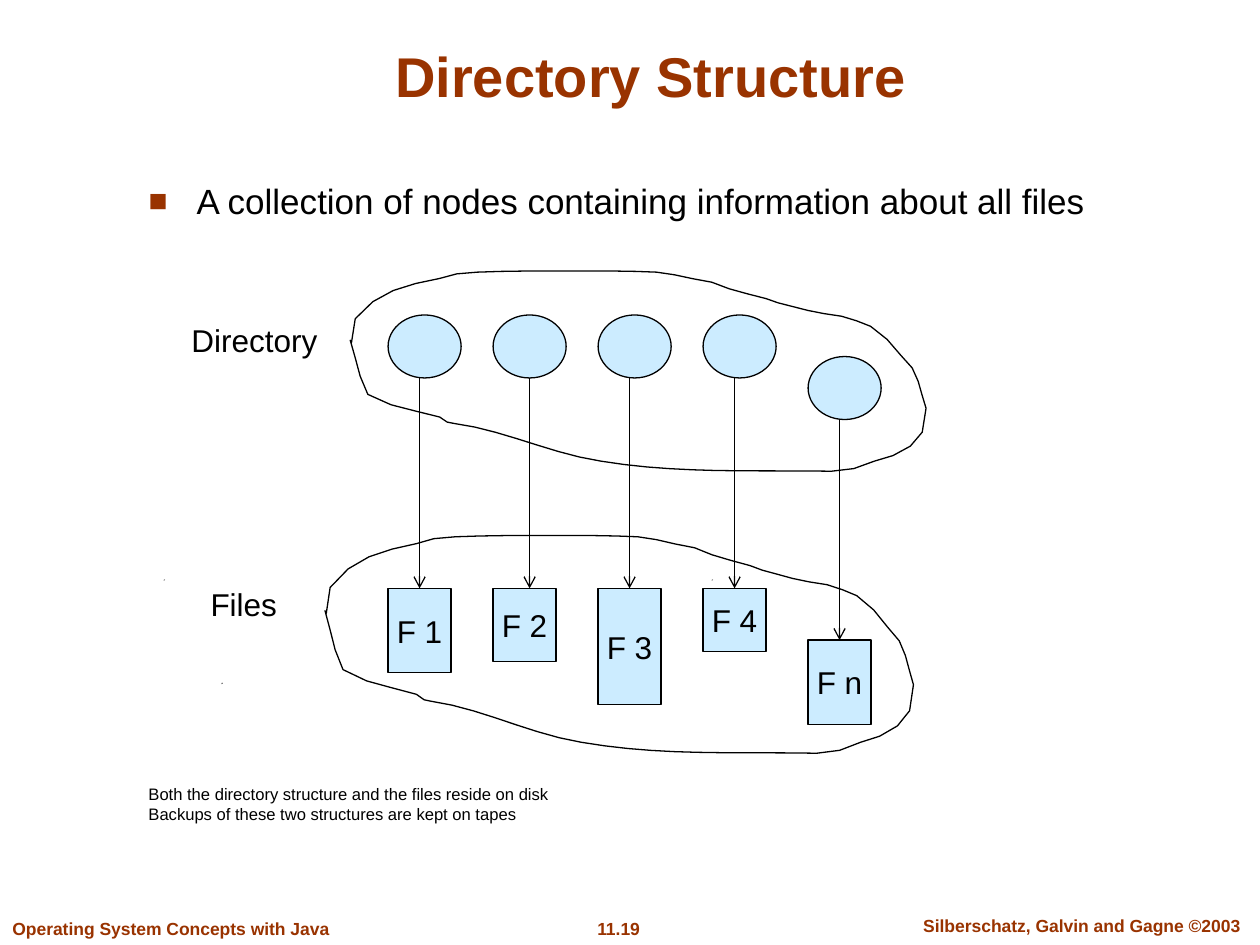
from dataclasses import dataclass
from math import ceil, dist

from lxml.etree import SubElement
from pptx import Presentation
from pptx.dml.color import RGBColor
from pptx.enum.shapes import MSO_CONNECTOR, MSO_SHAPE
from pptx.enum.text import MSO_ANCHOR, MSO_AUTO_SIZE, PP_ALIGN
from pptx.oxml.ns import qn
from pptx.util import Inches, Pt


@dataclass(frozen=True)
class Theme:
    """Colours, type sizes and line width of the slide."""
    font: str = "Arial"
    accent: str = "993300"
    ink: str = "000000"
    node: str = "CCECFF"
    title: float = 32
    body: float = 20
    label: float = 18
    footer: float = 10
    note: float = 9.5
    line: float = 0.75


THEME = Theme()
FIRST_LEFT, PITCH = 3.08, 5 / 6
NODE_WIDTH, NODE_HEIGHT, FILE_WIDTH = 0.58, 0.5, 0.5
DIRECTORY_BOX = (2.78, 2.15, 4.57, 1.61)
FILES_BOX = (2.58, 4.25, 4.67, 1.75)
SPECKS = [(1.76, 5.42), (1.3, 4.6), (5.65, 4.6)]
FILES = [
    ("F 1", 2.5, 4.67, 0.67, 0),
    ("F 2", 2.5, 4.67, 0.58, 0.04),
    ("F 3", 2.5, 4.67, 0.92, 0),
    ("F 4", 2.5, 4.67, 0.5, 0),
    ("F n", 2.83, 5.08, 0.67, 0),
]
CLOUD_START = (2.79, 2.72)
CLOUD_CURVES = [
    (2.8, 2.65, 2.79, 2.58, 2.82, 2.53), (2.99, 2.31, 3.23, 2.26, 3.49, 2.21),
    (3.67, 2.17, 3.57, 2.17, 3.79, 2.16), (4.04, 2.15, 4.29, 2.15, 4.55, 2.15),
    (4.77, 2.15, 4.99, 2.15, 5.21, 2.16), (5.35, 2.17, 5.5, 2.22, 5.65, 2.24),
    (5.78, 2.3, 5.93, 2.33, 6.08, 2.37), (6.15, 2.4, 6.2, 2.41, 6.28, 2.43),
    (6.42, 2.47, 6.53, 2.49, 6.68, 2.51), (6.76, 2.54, 6.84, 2.55, 6.91, 2.59),
    (7.01, 2.64, 7.08, 2.74, 7.15, 2.82), (7.18, 2.86, 7.22, 2.88, 7.24, 2.92),
    (7.28, 2.99, 7.3, 3.06, 7.32, 3.14), (7.33, 3.17, 7.35, 3.24, 7.35, 3.24),
    (7.35, 3.28, 7.35, 3.37, 7.32, 3.43), (7.26, 3.56, 7.08, 3.63, 6.94, 3.66),
    (6.84, 3.73, 6.72, 3.72, 6.6, 3.74), (5.96, 3.73, 5.38, 3.76, 4.77, 3.66),
    (4.37, 3.6, 3.99, 3.41, 3.6, 3.36), (3.58, 3.36, 3.57, 3.35, 3.55, 3.35),
    (3.53, 3.34, 3.51, 3.32, 3.49, 3.31), (3.29, 3.25, 3.1, 3.24, 2.92, 3.13),
    (2.86, 3.03, 2.85, 2.94, 2.82, 2.84), (2.82, 2.84, 2.78, 2.72, 2.78, 2.7),
    (2.78, 2.69, 2.79, 2.71, 2.79, 2.72),
]


def write(frame, text, size=THEME.label, color=THEME.ink, bold=False,
          align=PP_ALIGN.LEFT, anchor=MSO_ANCHOR.TOP, before=0, wrap=True,
          fit=MSO_AUTO_SIZE.NONE):
    """Fill a text frame, one paragraph per line of text."""
    frame.text = text
    frame.word_wrap, frame.auto_size = wrap, fit
    frame.vertical_anchor = anchor
    for paragraph in frame.paragraphs:
        paragraph.alignment = align
        paragraph.space_before = Pt(before)
        font = paragraph.runs[0].font
        font.name, font.size, font.bold = THEME.font, Pt(size), bold
        font.color.rgb = RGBColor.from_string(color)


def place(shape, left, top, width, height):
    """Set the position and size of a shape in inches."""
    shape.left, shape.top = Inches(left), Inches(top)
    shape.width, shape.height = Inches(width), Inches(height)


def add_text(slide, text, box, **text_format):
    """Add a text box."""
    write(slide.shapes.add_textbox(*map(Inches, box)).text_frame, text, **text_format)


def paint(shape, fill=None, line=THEME.ink):
    """Give a shape a flat fill and a thin line, either of them optional."""
    shape.shadow.inherit = False
    for part, color in ((shape.fill, fill), (shape.line.fill, line)):
        if color:
            part.solid()
            part.fore_color.rgb = RGBColor.from_string(color)
        else:
            part.background()
    shape.line.width = Pt(THEME.line)


def add_node(slide, preset, box):
    """Add a directory node or a file block."""
    node = slide.shapes.add_shape(preset, *map(Inches, box))
    paint(node, fill=THEME.node)
    return node


def add_arrow(slide, x, top, bottom, target=None):
    """Add a downward arrow, joined to the top of its target if given."""
    arrow = slide.shapes.add_connector(
        MSO_CONNECTOR.STRAIGHT, Inches(x), Inches(top), Inches(x), Inches(bottom))
    if target is not None:
        arrow.end_connect(target, 0)
    arrow.line.color.rgb = RGBColor.from_string(THEME.ink)
    arrow.line.width = Pt(THEME.line)
    properties = arrow._element.spPr
    SubElement(properties.find(qn("a:ln")), qn("a:tailEnd"), type="arrow")
    SubElement(properties, qn("a:effectLst"))


def add_outline(slide, points, **colors):
    """Add a closed freeform through points given in inches."""
    corners = [(Inches(x), Inches(y)) for x, y in points]
    builder = slide.shapes.build_freeform(*corners[0])
    builder.add_line_segments(corners[1:], close=True)
    paint(builder.convert_to_shape(), **colors)


def bezier(start, curve, t):
    """Return the point at t on a cubic curve."""
    controls = (start, curve[0:2], curve[2:4], curve[4:6])
    weights = ((1 - t) ** 3, 3 * t * (1 - t) ** 2, 3 * t * t * (1 - t), t ** 3)
    return tuple(sum(w * c[axis] for w, c in zip(weights, controls)) for axis in (0, 1))


def add_cloud(slide, box, stride=0.2):
    """Add the cloud outline scaled into a box."""
    left, top, width, height = box
    base_left, base_top, base_width, base_height = DIRECTORY_BOX
    points, start = [CLOUD_START], CLOUD_START
    for curve in CLOUD_CURVES:
        steps = max(1, ceil(dist(start, curve[4:6]) / stride))
        points += [bezier(start, curve, step / steps) for step in range(1, steps + 1)]
        start = curve[4:6]
    add_outline(slide, [(left + (x - base_left) * width / base_width,
                         top + (y - base_top) * height / base_height) for x, y in points])


def fill_headings(slide):
    """Fill the title and the bulleted statement."""
    title, statement = slide.shapes.title, slide.placeholders[1]
    place(title, 0.75, 0.24, 8.83, 0.67)
    write(title.text_frame, "Directory Structure", size=THEME.title, color=THEME.accent,
          bold=True, align=PP_ALIGN.CENTER, anchor=MSO_ANCHOR.BOTTOM)
    place(statement, 1.08, 1.41, 7.69, 0.42)
    write(statement.text_frame,
          "A collection of nodes containing information about all files",
          size=THEME.body, before=8.8)
    paragraph = statement.text_frame.paragraphs[0]
    paragraph.line_spacing = 0.9
    properties = paragraph._p.get_or_add_pPr()
    properties.set("marL", str(Inches(0.38)))
    properties.set("indent", str(Inches(-0.38)))
    SubElement(SubElement(properties, qn("a:buClr")), qn("a:srgbClr"), val=THEME.accent)
    SubElement(properties, qn("a:buSzPct"), val="90000")
    SubElement(properties, qn("a:buFont"), typeface=THEME.font)
    SubElement(properties, qn("a:buChar"), char="■")


def add_diagram(slide):
    """Draw the directory nodes, their files, the arrows and the clouds."""
    for index, (name, node_top, file_top, file_height, shift) in enumerate(FILES):
        left = FIRST_LEFT + index * PITCH
        add_node(slide, MSO_SHAPE.OVAL, (left, node_top, NODE_WIDTH, NODE_HEIGHT))
        block = add_node(slide, MSO_SHAPE.RECTANGLE,
                         (left, file_top, FILE_WIDTH, file_height))
        write(block.text_frame, name, align=PP_ALIGN.CENTER,
              anchor=MSO_ANCHOR.MIDDLE, wrap=False)
        add_arrow(slide, left + FILE_WIDTH / 2 + shift, node_top + NODE_HEIGHT,
                  file_top, None if shift else block)
    for cloud_box, label, label_box in (
            (DIRECTORY_BOX, "Directory", (1.42, 2.5, 1.2, 0.4)),
            (FILES_BOX, "Files", (1.57, 4.59, 0.73, 0.4))):
        add_cloud(slide, cloud_box)
        add_text(slide, label, label_box, align=PP_ALIGN.CENTER, before=11.2,
                 anchor=MSO_ANCHOR.MIDDLE, wrap=False, fit=MSO_AUTO_SIZE.SHAPE_TO_FIT_TEXT)


def add_backdrop(slide):
    """Add the ink specks and the three footer texts."""
    for x, y in SPECKS:
        add_outline(slide, [(x, y + 0.01), (x + 0.01, y), (x, y)], fill=THEME.ink, line=None)
    for text, box, align, wrap in (
            ("Operating System Concepts with Java", (0, 7.24, 2.8, 0.27), PP_ALIGN.LEFT, True),
            ("11.19", (4.38, 7.24, 1.06, 0.27), PP_ALIGN.CENTER, False),
            ("Silberschatz, Galvin and Gagne ©2003", (7.1, 7.21, 2.97, 0.27),
             PP_ALIGN.CENTER, True)):
        add_text(slide, text, box, size=THEME.footer, color=THEME.accent, bold=True,
                 align=align, before=6.2, wrap=wrap, fit=MSO_AUTO_SIZE.SHAPE_TO_FIT_TEXT)


def main():
    """Build the slide and save it."""
    deck = Presentation()
    deck.slide_width, deck.slide_height = Inches(10), Inches(7.5)
    slide = deck.slides.add_slide(deck.slide_layouts[1])
    add_backdrop(slide)
    fill_headings(slide)
    add_diagram(slide)
    add_text(slide, "Both the directory structure and the files reside on disk\n"
             "Backups of these two structures are kept on tapes",
             (1.08, 6.17, 7.69, 0.42), size=THEME.note)
    deck.save("out.pptx")


if __name__ == "__main__":
    main()
